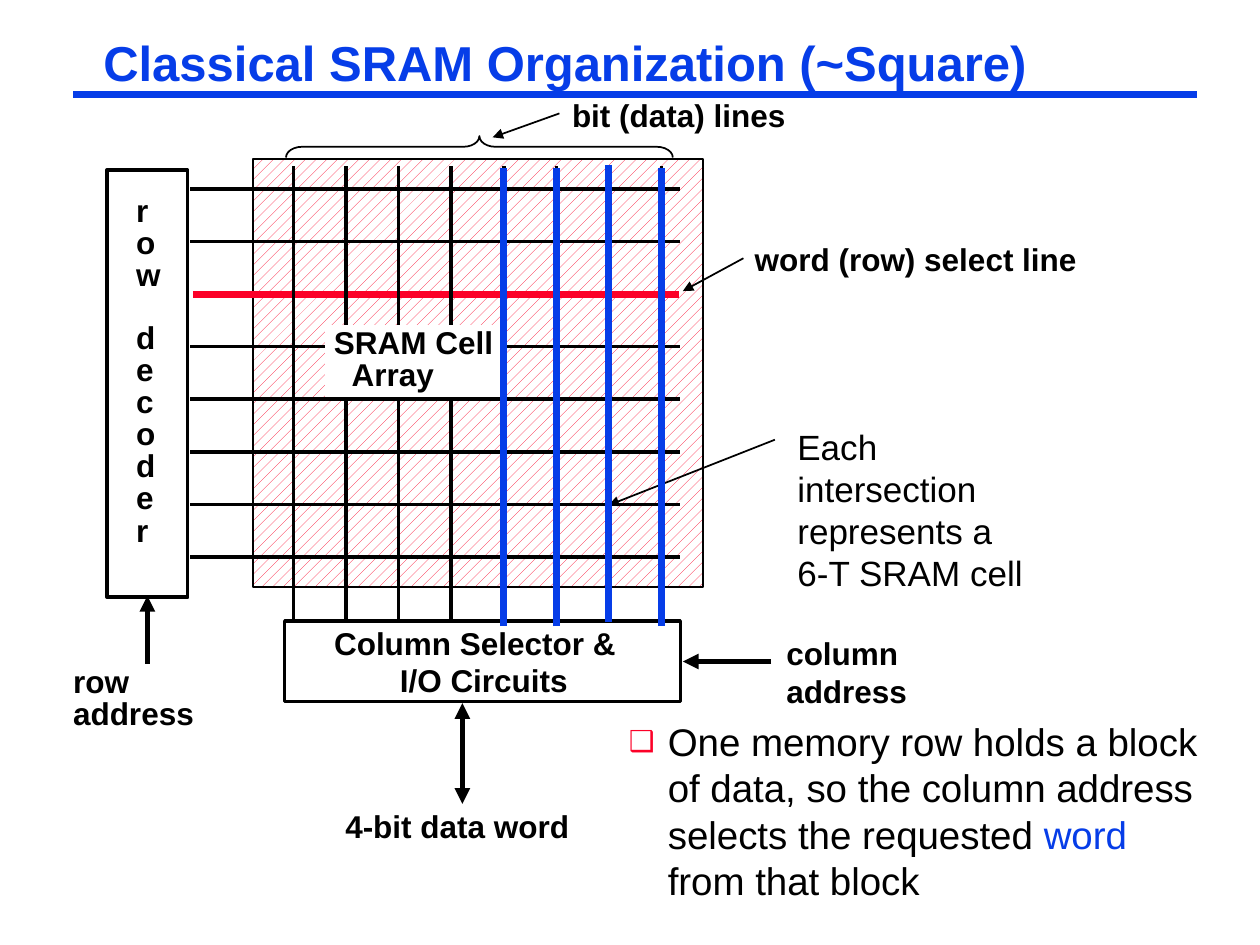
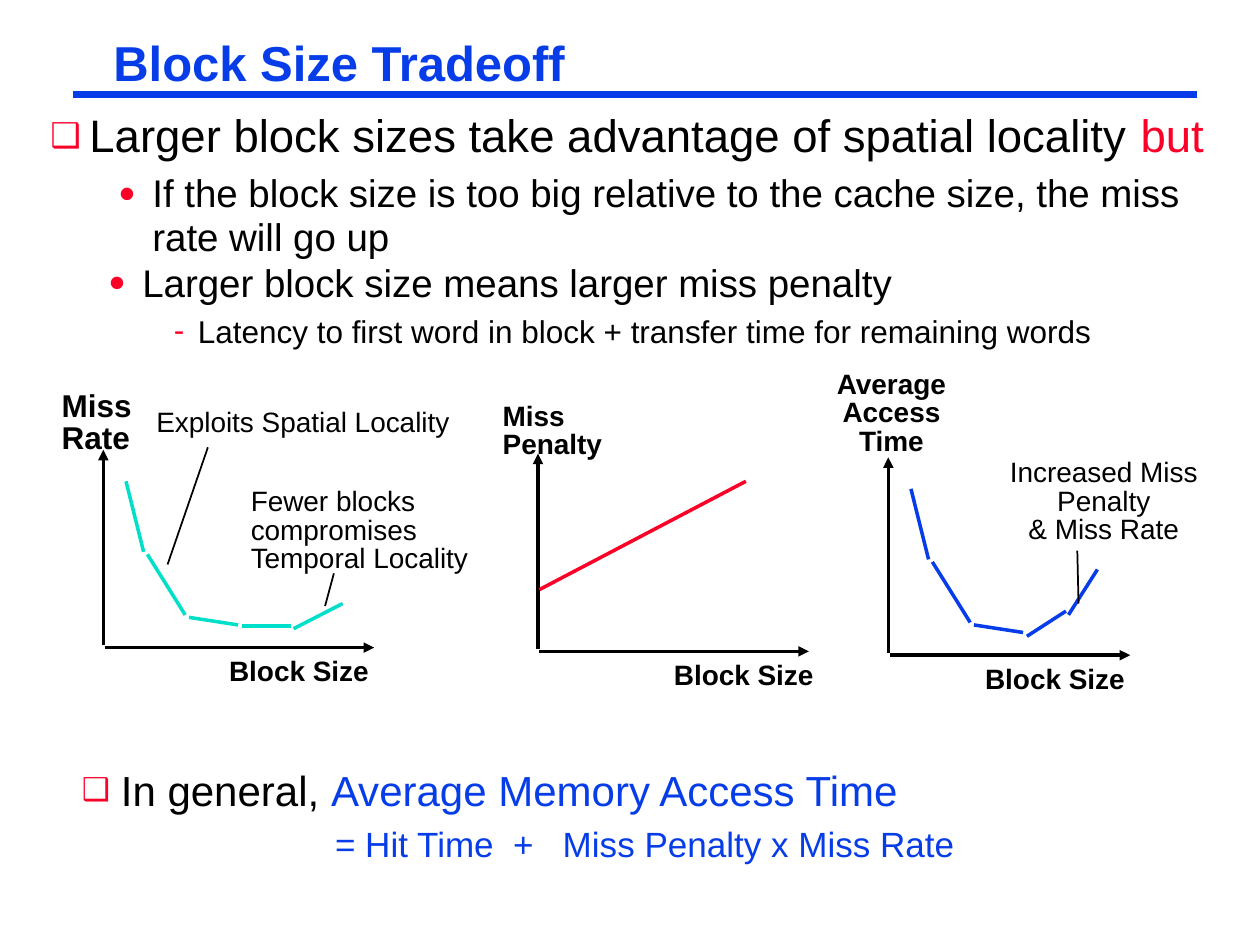
import pptx
import pptx.util
import pptx.dml.color
import pptx.enum.dml
import pptx.enum.shapes
import pptx.enum.text
import pptx.oxml
import pptx.oxml.ns
import lxml.etree

Inches, Pt = pptx.util.Inches, pptx.util.Pt
SHAPE = pptx.enum.shapes.MSO_SHAPE
ALIGN = pptx.enum.text.PP_ALIGN
qn = pptx.oxml.ns.qn

C = {"blue": "063DE8", "red": "FC0128", "teal": "00DFCA", "black": "000000", "white": "FFFFFF"}
FONT = "Arial"
TIGHT = (0.07, 0.03)  # side and top insets
ROOMY = (0.1, 0.05)

# Bullet styles: left margin, first-line indent, character, size in percent
SQUARE = dict(left=0.31, first=-0.31, char="❑", pct=75)
DOT = dict(left=0.81, first=-0.27, char="●", pct=75)
DASH = dict(left=1.25, first=-0.19, char="-", pct=100)

# ---- Content: SRAM organization ----
SRAM_TITLE = ("Classical SRAM Organization (~Square)", (0.75, 0.29, 7.5, 0.42))
LINES = 8
PITCH = 2.92 / (LINES - 1)
ROW_TOP, COL_LEFT = 1.5, 2.33
SELECTED_ROW, FIRST_DATA_COL = 2, 4
BOXES = [(0.85, 1.35, 0.64, 3.39), (2.26, 4.93, 3.14, 0.64)]
DECODER = ["r", "o", "w", dict(runs="d", before=17.5), "e", "c", "o", "d", "e", "r"]
SRAM_LABELS = [  # box, paragraphs, options
    ((1.01, 1.53, 0.33, 2.86), DECODER, {}),
    ((0.51, 5.27, 1.15, 0.57), ["row", "address"], {}),
    ((2.67, 6.42, 1.92, 0.31), ["4-bit data word"], {}),
    ((5.92, 1.92, 2.9, 0.31), ["word (row) select line"], {}),
    ((4.47, 0.78, 2.45, 0.31), ["bit (data) lines"], dict(wrap=True)),
    ((2.58, 4.92, 2.38, 0.66),
     ["Column Selector &", dict(runs="I/O Circuits", left=0.14)],
     dict(align=ALIGN.CENTER, spacing=1.0)),
    ((6.17, 5, 1.15, 0.57), ["column", "address"], dict(spacing=1.0)),
    ((6.23, 3.33, 2.18, 1.43), ["Each intersection represents a", "6-T SRAM cell"],
     dict(size=20, bold=False, wrap=True, inset=ROOMY, spacing=1.0)),
    ((4.92, 5.67, 4.75, 1.52),
     [dict(SQUARE, runs=[("One memory row holds a block of data, so the column address "
                          "selects the requested ", "black"),
                         ("word", "blue"), (" from that block", "black")])],
     dict(size=22, bold=False, wrap=True, spacing=1.0)),
]
SRAM_ARROWS = [  # start, end, width, heads
    ((1.17, 5.27, 1.17, 4.73), 3, ["tail"]),
    ((3.67, 5.58, 3.67, 6.38), 3, ["head", "tail"]),
    ((6.12, 5.25, 5.42, 5.25), 3, ["tail"]),
    ((5.9, 2.05, 5.42, 2.31), 1, ["tail"]),
    ((4.44, 0.9, 3.91, 1.09), 1, ["tail"]),
    ((6.15, 3.49, 4.83, 4.01), 1, ["tail"]),
]

# ---- Content: block size tradeoff ----
BLOCK_TITLE = ("Block Size Tradeoff", (0.83, 0.29, 3.77, 0.46))
BULLETS = [
    ((0.33, 0.85, 9.42, 1.26), 0.95, [
        dict(SQUARE, size=26, runs=[
            ("Larger block sizes take advantage of spatial locality ", "black"), ("but", "red")]),
        dict(DOT, size=22, before=5.5, runs="If the block size is too big relative to "
             "the cache size, the miss rate will go up")]),
    ((0.25, 2.08, 9.42, 0.72), 0.85, [
        dict(DOT, size=22, runs="Larger block size means larger miss penalty"),
        dict(DASH, size=18, before=7.2,
             runs="Latency to first word in block + transfer time for remaining words")]),
    ((0.58, 6.08, 9.17, 0.83), 0.9, [
        dict(SQUARE, size=24, runs=[
            ("In general, ", "black"), ("Average Memory Access Time", "blue")]),
        dict(left=2.01, size=20, before=7,
             runs=[("= Hit Time  +   Miss Penalty x Miss Rate", "blue")])]),
]
# Curve pieces are measured from the origin of each graph
FALL = [(0.18, -1.32, 0.32, -0.76), (0.35, -0.74, 0.65, -0.26), (0.68, -0.24, 1.07, -0.18)]
GRAPHS = [
    dict(origin=(0.82, 5.14), right=2.97, label_x=1.72, color="teal",
         name=((0.42, 3.08, 0.8, 0.57), ["Miss", "Rate"], dict(size=18)),
         curve=FALL + [(1.1, -0.17, 1.49, -0.17), (1.51, -0.15, 1.9, -0.35)],
         notes=[((1.17, 3.22, 2.55, 0.28), ["Exploits Spatial Locality"], {}),
                ((1.92, 3.85, 1.95, 0.74),
                 ["Fewer blocks", "compromises", "Temporal Locality"], {})],
         pointers=[(1.33, 4.48, 1.65, 3.55), (2.58, 4.81, 2.65, 4.55)]),
    dict(origin=(4.27, 5.17), right=6.42, label_x=5.25, color="red",
         name=((3.92, 3.17, 1, 0.51), ["Miss", "Penalty"], {}),
         curve=[(0.01, -0.49, 1.65, -1.35)], notes=[], pointers=[]),
    dict(origin=(7.05, 5.2), right=8.97, label_x=7.72, color="blue",
         name=((6.57, 2.92, 1.01, 0.74), ["Average", "Access", "Time"],
               dict(align=ALIGN.CENTER)),
         curve=FALL + [(1.1, -0.15, 1.41, -0.35), (1.43, -0.32, 1.66, -0.68)],
         notes=[((7.72, 3.62, 2.08, 0.74), ["Increased Miss Penalty", "& Miss Rate"],
                 dict(align=ALIGN.CENTER, wrap=True))],
         pointers=[(8.56, 4.79, 8.55, 4.37)]),
]


# ---- Helpers ----
def rgb(name):
    return pptx.dml.color.RGBColor.from_string(C[name])


def set_all(obj, values):
    for key, value in values.items():
        setattr(obj, key, value)


def add_line(s, ends, width, color="black", heads=()):
    con = s.shapes.add_connector(pptx.enum.shapes.MSO_CONNECTOR.STRAIGHT, *map(Inches, ends))
    con.line.width = Pt(width)
    con.line.color.rgb = rgb(color)
    ln = con.line._get_or_add_ln()
    for end in heads:
        lxml.etree.SubElement(ln, qn(f"a:{end}End"), type="triangle")
    lxml.etree.SubElement(con.element.spPr, qn("a:effectLst"))
    return con


def add_shape(s, box, width, kind=SHAPE.RECTANGLE):
    sp = s.shapes.add_shape(kind, *map(Inches, box))
    sp.shadow.inherit = False
    sp.fill.background()
    sp.line.color.rgb = rgb("black")
    sp.line.width = Pt(width)
    return sp


def add_bullet(pPr, char, pct):
    color = lxml.etree.SubElement(pPr, qn("a:buClr"))
    lxml.etree.SubElement(color, qn("a:srgbClr"), val=C["red"])
    lxml.etree.SubElement(pPr, qn("a:buSzPct"), val=str(pct * 1000))
    lxml.etree.SubElement(pPr, qn("a:buFont"), typeface=FONT)
    lxml.etree.SubElement(pPr, qn("a:buChar"), char=char)


def write(sp, paras, size=18, bold=True, color="black", align=ALIGN.LEFT, spacing=0.85,
          wrap=False, inset=TIGHT):
    tf = sp.text_frame
    side, top = map(Inches, inset)
    set_all(tf, dict(margin_left=side, margin_right=side, margin_top=top, margin_bottom=top,
                     word_wrap=wrap, vertical_anchor=pptx.enum.text.MSO_ANCHOR.TOP,
                     auto_size=pptx.enum.text.MSO_AUTO_SIZE.SHAPE_TO_FIT_TEXT))
    for i, para in enumerate(paras):
        para = para if isinstance(para, dict) else dict(runs=para)
        p = tf.add_paragraph() if i else tf.paragraphs[0]
        set_all(p, dict(alignment=align, line_spacing=spacing,
                        space_before=Pt(para.get("before", 0))))
        pPr = p._p.get_or_add_pPr()
        pPr.set("marL", str(Inches(para.get("left", 0))))
        pPr.set("indent", str(Inches(para.get("first", 0))))
        if "char" in para:
            add_bullet(pPr, para["char"], para["pct"])
        runs = para["runs"]
        for text, run_color in [(runs, color)] if isinstance(runs, str) else runs:
            r = p.add_run()
            r.text = text
            set_all(r.font, dict(name=FONT, size=Pt(para.get("size", size)), bold=bold))
            r.font.color.rgb = rgb(run_color)


def add_text(s, box, paras, **style):
    sp = s.shapes.add_textbox(*map(Inches, box))
    write(sp, paras, **style)
    return sp


def add_slide(title, box):
    s = prs.slides.add_slide(prs.slide_layouts.get_by_name("Title Only"))
    sp = s.shapes.title
    set_all(sp, dict(zip(("left", "top", "width", "height"), map(Inches, box))))
    write(sp, [title], size=28, color="blue", spacing=0.87)
    return s


prs = pptx.Presentation()
prs.slide_width, prs.slide_height = Inches(10), Inches(7.5)

# ---- Slide 1: SRAM organization ----
s = add_slide(*SRAM_TITLE)

# The rule under the title belongs to the master
rule = add_line(s, (0.58, 0.75, 9.5, 0.75), 4.5, "blue")
prs.slide_master.shapes.element.append(rule.element)

# Cell array background, decoder and column selector
array = add_shape(s, (2.01, 1.26, 3.57, 3.4), 1)
array.fill.patterned()
array.fill.pattern = pptx.enum.dml.MSO_PATTERN.PERCENT_20
array.fill.fore_color.rgb = rgb("red")
array.fill.back_color.rgb = rgb("white")
for box in BOXES:
    add_shape(s, box, 2)

# Word lines and bit lines
for i in range(LINES):
    y = ROW_TOP + i * PITCH
    if i == SELECTED_ROW:
        add_line(s, (1.53, y, 5.39, y), 4, "red")
    else:
        add_line(s, (1.51, y, 5.4, y), 2)
columns = [COL_LEFT + i * PITCH for i in range(LINES)]
for x in columns:
    add_line(s, (x, 4.93, x, 1.32), 2)

# Array name, on white
name = add_text(s, (2.58, 2.58, 1.42, 0.57), ["SRAM Cell", dict(runs="Array", left=0.14)])
name.fill.solid()
name.fill.fore_color.rgb = rgb("white")

# Arrows, selected data columns, brace and labels
for ends, width, heads in SRAM_ARROWS:
    add_line(s, ends, width, heads=heads)
for i, x in enumerate(columns[FIRST_DATA_COL:]):
    bottom, top = (4.94, 1.31) if i == 2 else (4.97, 1.33)
    add_line(s, (x, bottom, x, top), 4, "blue")
brace = add_shape(s, (3.72, -0.37, 0.17, 3.07), 1, SHAPE.RIGHT_BRACE)
brace.rotation = 270
brace.adjustments[0], brace.adjustments[1] = 0.75, 0.5
for box, paras, style in SRAM_LABELS:
    add_text(s, box, paras, **style)

# ---- Slide 2: block size tradeoff ----
s = add_slide(*BLOCK_TITLE)
for box, spacing, paras in BULLETS:
    add_text(s, box, paras, bold=False, wrap=True, spacing=spacing)

for g in GRAPHS:
    x, y = g["origin"]
    # Axes
    add_line(s, (x, y - 0.02, x, y - 1.57), 2, heads=["tail"])
    add_line(s, (x + 0.01, y, g["right"], y), 2, heads=["tail"])
    box, paras, style = g["name"]
    add_text(s, box, paras, **{"size": 16, **style})
    add_text(s, (g["label_x"], y, 1.31, 0.36), ["Block Size"], size=16, inset=ROOMY, spacing=1.0)
    # Curve and its notes
    for x1, y1, x2, y2 in g["curve"]:
        add_line(s, (x + x1, y + y1, x + x2, y + y2), 2, g["color"])
    for ends in g["pointers"]:
        add_line(s, ends, 1)
    for box, paras, style in g["notes"]:
        add_text(s, box, paras, size=16, bold=False, **style)

prs.save("out.pptx")
